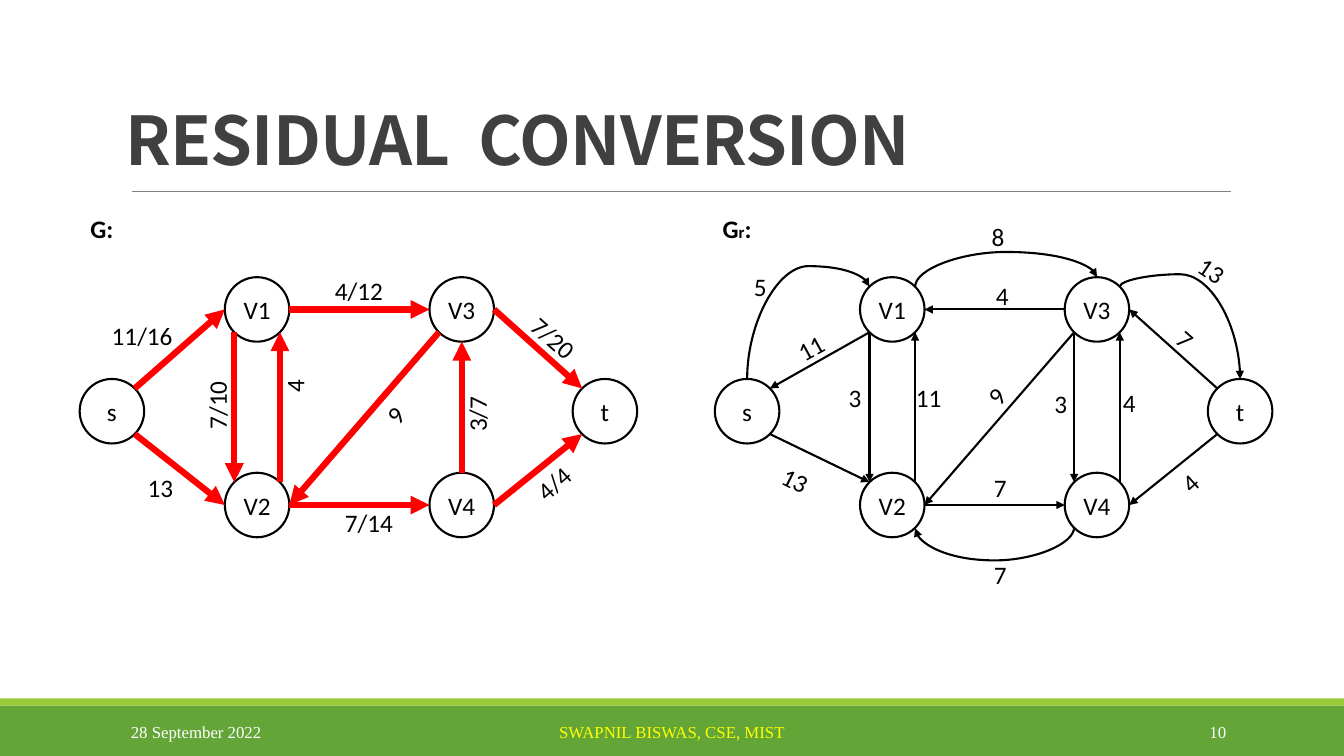
"""Build the slide that turns a flow network G into its residual network Gr."""
import dataclasses
import math
import typing

import pptx
import pptx.dml.color
import pptx.enum.shapes
import pptx.enum.text
import pptx.oxml
import pptx.oxml.ns
import pptx.util

Inches = pptx.util.Inches
SHAPE = pptx.enum.shapes.MSO_SHAPE
CONNECTOR = pptx.enum.shapes.MSO_CONNECTOR
ALIGN = pptx.enum.text.PP_ALIGN
ANCHOR = pptx.enum.text.MSO_ANCHOR
RADIUS = 0.32
NODES = {"s": (1.11, 4.08), "V1": (2.55, 3.07), "V2": (2.55, 5.01),
         "V3": (4.58, 3.07), "V4": (4.58, 5.01), "t": (6.0, 4.08)}
ANGLES = {side: 45 * i for i, side in enumerate(["e", "se", "s", "sw", "w", "nw", "n", "ne"])}


@dataclasses.dataclass
class Edge:
    """A directed edge between node sides, with its label centre and curve level."""
    start: str
    end: str
    label: str
    x: float
    y: float
    turn: float = 0
    level: typing.Optional[float] = None


@dataclasses.dataclass
class Graph:
    """A network drawn at a horizontal offset with one arrow style."""
    title: list
    dx: float
    color: str
    width: float
    edges: list


@dataclasses.dataclass
class Footer:
    """One text of the footer bar."""
    text: str
    left: float
    width: float
    align: typing.Any
    color: str


FLOW = [
    Edge("s.ne", "V1.w", "11/16", 1.41, 3.33),
    Edge("s.se", "V2.w", "13", 1.59, 4.84),
    Edge("V1.sw", "V2.nw", "7/10", 2.15, 4.02, 270),
    Edge("V2.ne", "V1.se", "4", 2.92, 3.83, 270),
    Edge("V1.e", "V3.w", "4/12", 3.56, 2.88),
    Edge("V2.e", "V4.w", "7/14", 3.66, 5.18),
    Edge("V3.sw", "V2.e", "9", 3.92, 4.12, 311.6),
    Edge("V3.e", "t.nw", "7/20", 5.49, 3.35, 41.5),
    Edge("V4.n", "V3.s", "3/7", 4.73, 4.11, 270),
    Edge("V4.e", "t.sw", "4/4", 5.49, 4.79, 318.3),
]
RESIDUAL = [
    Edge("s.n", "V1.nw", "5", 1.24, 2.84, level=2.64),
    Edge("V1.sw", "s.ne", "11", 1.74, 3.45, 331.1),
    Edge("V1.ne", "V3.n", "8", 3.6, 2.35, level=2.5),
    Edge("V3.w", "V1.e", "4", 3.64, 2.93),
    Edge("V3.ne", "t.n", "13", 5.72, 2.68, 33.8, 2.72),
    Edge("t.nw", "V3.e", "7", 5.46, 3.37, 41.6),
    Edge("s.se", "V2.nw", "13", 1.59, 4.76, 26.8),
    Edge("V3.sw", "V2.e", "9", 3.58, 3.93, 310.8),
    Edge("V2.e", "V4.w", "7", 3.62, 4.84),
    Edge("V4.sw", "V2.se", "7", 3.62, 5.7, level=5.57),
    Edge("t.sw", "V4.e", "4", 5.5, 4.79, 317.9),
    Edge("V3.sw", "V4.nw", "3", 4.22, 4.0),
    Edge("V4.ne", "V3.se", "4", 4.9, 3.99),
    Edge("V1.sw", "V2.nw", "3", 2.18, 3.94),
    Edge("V2.ne", "V1.se", "11", 2.91, 3.94),
]
GRAPHS = [
    Graph([("G:", 18)], 0, "FF0000", 4.5, FLOW),
    Graph([("G", 18), ("r", 12), (":", 18)], 6.3, "000000", 1.5, RESIDUAL),
]
FOOTERS = [
    Footer("28 September 2022", 1.2, 2.7, ALIGN.LEFT, "FFFFFF"),
    Footer("SWAPNIL BISWAS, CSE, MIST", 4.03, 5.27, ALIGN.CENTER, "FFFF00"),
    Footer("10", 10.83, 1.43, ALIGN.RIGHT, "FFFFFF"),
]


def rgb(color: str) -> pptx.dml.color.RGBColor:
    """Turn a hex string into a colour."""
    return pptx.dml.color.RGBColor.from_string(color)


def apply(obj: typing.Any, **fmt: typing.Any) -> None:
    """Set every attribute in the format values."""
    for name, value in fmt.items():
        setattr(obj, name, value)


def write(tf, runs: list, color: str = "000000", font: str = "Calibri", bold: bool = False,
          align=ALIGN.CENTER, anchor=ANCHOR.MIDDLE, wrap: bool = False):
    """Write runs of text and size into a frame and return its paragraph."""
    apply(tf, word_wrap=wrap, vertical_anchor=anchor)
    p = tf.paragraphs[0]
    p.alignment = align
    for text, size in runs:
        r = p.add_run()
        r.text = text
        apply(r.font, name=font, size=pptx.util.Pt(size), bold=bold)
        r.font.color.rgb = rgb(color)
    return p


def add_text(shapes, x: float, y: float, runs: list, turn: float = 0, bold: bool = False) -> None:
    """Add a label centred on a point."""
    width = 0.2 + 0.125 * sum(len(text) for text, _ in runs)
    sp = shapes.add_textbox(Inches(x - width / 2), Inches(y - 0.2), Inches(width), Inches(0.4))
    sp.rotation = turn
    write(sp.text_frame, runs, bold=bold)


def add_bar(shapes, top: float, height: float, color: str) -> None:
    """Add a full-width bar."""
    sp = shapes.add_shape(SHAPE.RECTANGLE, 0, Inches(top), Inches(13.33), Inches(height))
    sp.shadow.inherit = False
    sp.fill.solid()
    sp.fill.fore_color.rgb = rgb(color)
    sp.line.fill.background()


def add_node(shapes, name: str, x: float, y: float) -> None:
    """Add a named circle centred on a point."""
    size = Inches(2 * RADIUS)
    sp = shapes.add_shape(SHAPE.OVAL, Inches(x - RADIUS), Inches(y - RADIUS), size, size)
    sp.shadow.inherit = False
    sp.fill.background()
    sp.line.color.rgb = rgb("000000")
    sp.line.width = pptx.util.Pt(1.5)
    apply(sp.text_frame, margin_left=0, margin_right=0, margin_top=0, margin_bottom=0)
    write(sp.text_frame, [(name, 18)])


def add_line(shapes, kind, start: tuple, end: tuple, color: str, width: float, arrow: bool = True):
    """Add a connector, with an arrowhead at its end if asked."""
    c = shapes.add_connector(kind, *(Inches(v) for v in start + end))
    c.line.color.rgb = rgb(color)
    c.line.width = pptx.util.Pt(width)
    props = c._element.spPr
    if arrow:
        tail = pptx.oxml.parse_xml(f'<a:tailEnd {pptx.oxml.ns.nsdecls("a")} type="triangle"/>')
        props.find(pptx.oxml.ns.qn("a:ln")).append(tail)
    props.append(pptx.oxml.parse_xml(f'<a:effectLst {pptx.oxml.ns.nsdecls("a")}/>'))
    return c


def bend(c, start: tuple, end: tuple, level: float) -> None:
    """Make a curved connector leave and arrive vertically by way of a level."""
    (x1, y1), (x2, y2) = start, end
    drop = y2 - y1 or 0.01
    w, h = abs(drop), abs(x2 - x1)
    apply(c, left=Inches((x1 + x2 - w) / 2), top=Inches((y1 + y2 - h) / 2),
          width=Inches(w), height=Inches(h))
    props = c._element.spPr
    flips = {"rot": 90 * 60000, "flipH": int(drop < 0), "flipV": int(x2 > x1)}
    for name, value in flips.items():
        props.xfrm.set(name, str(value))
    guides = pptx.oxml.parse_xml(
        f'<a:avLst {pptx.oxml.ns.nsdecls("a")}><a:gd name="adj1" '
        f'fmla="val {round((level - y1) / drop * 100000)}"/></a:avLst>')
    geom = props.find(pptx.oxml.ns.qn("a:prstGeom"))
    for old in list(geom):
        geom.remove(old)
    geom.append(guides)


def site(place: str, dx: float) -> tuple:
    """Find the point on a node's rim from a name such as V1.ne."""
    name, side = place.split(".")
    x, y = NODES[name]
    angle = math.radians(ANGLES[side])
    return x + dx + RADIUS * math.cos(angle), y + RADIUS * math.sin(angle)


def add_graph(shapes, graph: Graph) -> None:
    """Draw the heading, nodes, edges and labels of a network."""
    add_text(shapes, 1.01 + graph.dx, 2.27, graph.title, bold=True)
    for name, (x, y) in NODES.items():
        add_node(shapes, name, x + graph.dx, y)
    for e in graph.edges:
        start, end = site(e.start, graph.dx), site(e.end, graph.dx)
        kind = CONNECTOR.STRAIGHT if e.level is None else CONNECTOR.CURVE
        c = add_line(shapes, kind, start, end, graph.color, graph.width)
        if e.level is not None:
            bend(c, start, end, e.level)
        add_text(shapes, e.x + graph.dx, e.y, [(e.label, 18)], e.turn)


def main() -> None:
    """Build and save the slide."""
    prs = pptx.Presentation()
    apply(prs, slide_width=Inches(13.33), slide_height=Inches(7.5))
    slide = prs.slides.add_slide(prs.slide_layouts[5])
    shapes = slide.shapes
    add_bar(shapes, 7, 0.5, "63A537")
    add_bar(shapes, 6.93, 0.07, "99CB38")
    add_line(shapes, CONNECTOR.STRAIGHT, (1.31, 1.9), (12.21, 1.9), "808080", 0.5, arrow=False)
    title = shapes.title
    apply(title, left=Inches(1.14), top=Inches(0.38), width=Inches(10.67), height=Inches(1.45))
    p = write(title.text_frame, [("RESIDUAL  CONVERSION", 48)], "404040", "Noto Sans CJK SC",
              True, ALIGN.LEFT, ANCHOR.BOTTOM, True)
    p.line_spacing = 0.85
    p.runs[0].font._element.set("spc", "-50")
    for graph in GRAPHS:
        add_graph(shapes, graph)
    for f in FOOTERS:
        sp = shapes.add_textbox(Inches(f.left), Inches(7.06), Inches(f.width), Inches(0.4))
        write(sp.text_frame, [(f.text, 12)], f.color, "Times New Roman", align=f.align, wrap=True)
    prs.save("out.pptx")


main()
